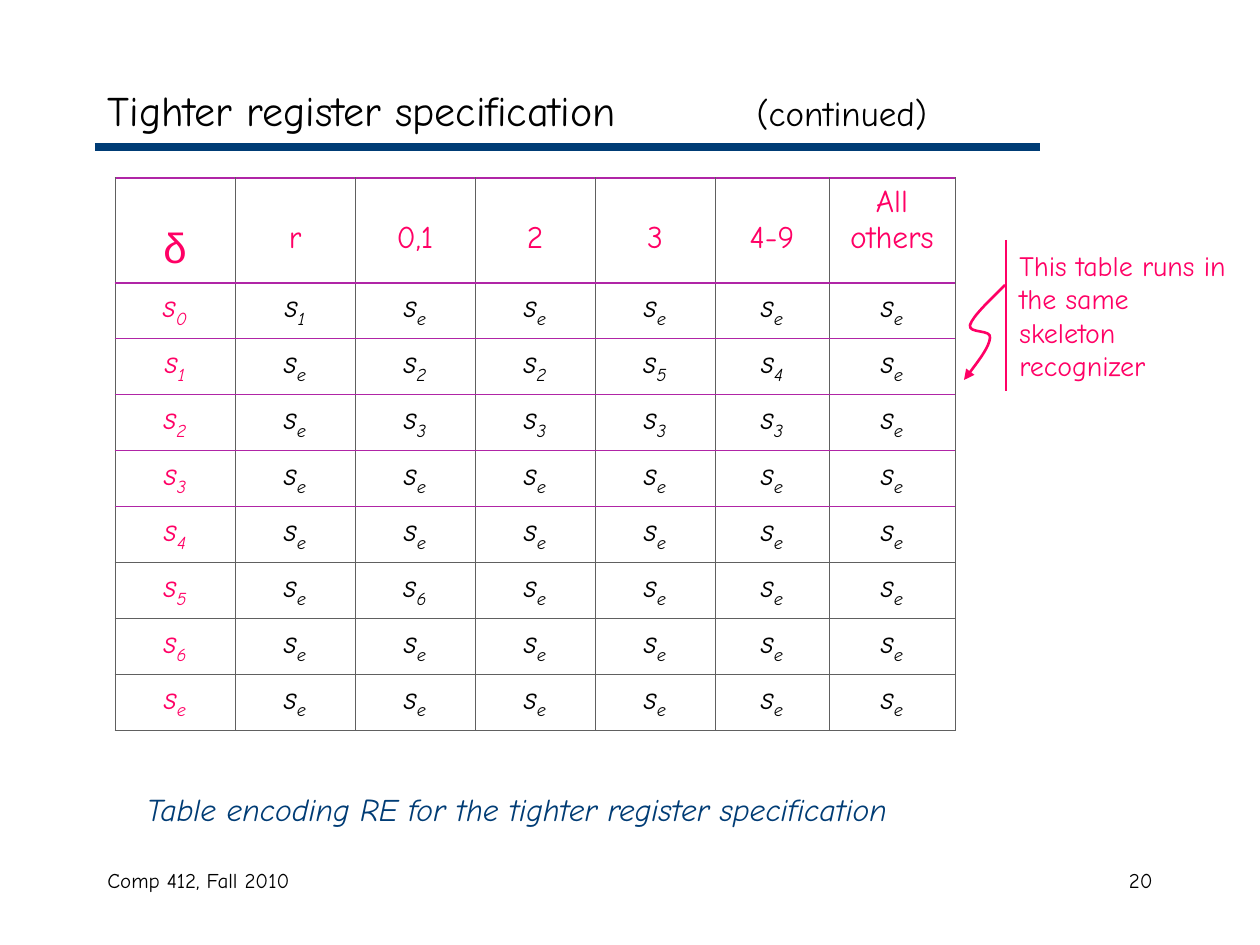
from lxml.etree import SubElement
from pptx import Presentation
from pptx.dml.color import RGBColor
from pptx.enum.shapes import MSO_CONNECTOR as Connector
from pptx.enum.text import MSO_ANCHOR as Anchor, MSO_AUTO_SIZE as AutoSize, PP_ALIGN as Align
from pptx.oxml.ns import qn
from pptx.util import Pt

SCALE = 914400 / 126
FONT = "Comic Neue"
BLACK, NAVY, PINK, PURPLE, GREY = "000000", "003C75", "FF0065", "B025A6", "606060"
COLUMN_WIDTHS = [120] * 5 + [114, 126]
HEADER_HEIGHT, ROW_HEIGHT = 104, 56
HEADERS = ["δ", "r", "0,1", "2", "3", "4-9", "All\nothers"]
TRANSITIONS = {
    "0": "1eeeee",
    "1": "e2254e",
    "2": "e3333e",
    "3": "eeeeee",
    "4": "eeeeee",
    "5": "e6eeee",
    "6": "eeeeee",
    "e": "eeeeee",
}
CURVE = [(1005, 285), (989, 301), (973, 316), (970, 325), (968, 334),
         (992, 329), (990, 338), (989, 347), (977, 363), (964, 380)]


def px(length):
    """Turn pixels into EMU."""
    return round(length * SCALE)


def color(value):
    """Turn a hex string into a colour."""
    return RGBColor.from_string(value)


def add_run(para, text, size, ink, italic=False, font=FONT, subscript=False):
    """Add one formatted run to a paragraph."""
    span = para.add_run()
    span.text = text
    span.font.name, span.font.size, span.font.italic = font, Pt(size), italic
    span.font.color.rgb = color(ink)
    if subscript:
        span._r.get_or_add_rPr().set("baseline", "-25000")


def add_text(page, left, top, width, height, text, size, ink, align=Align.LEFT, italic=False):
    """Add a wrapping text box with one paragraph."""
    box = page.shapes.add_textbox(px(left), px(top), px(width), px(height))
    box.text_frame.word_wrap = True
    para = box.text_frame.paragraphs[0]
    para.alignment = align
    add_run(para, text, size, ink, italic)


def add_line(page, start, end, ink, width):
    """Add a straight line without a shadow."""
    line = page.shapes.add_connector(Connector.STRAIGHT, *map(px, start + end))
    line.line.color.rgb = color(ink)
    line.line.width = Pt(width)
    SubElement(line._element.spPr, qn("a:effectLst"))


def add_curved_arrow(page, points, ink, width):
    """Add an open curve through Bezier points, with an arrowhead at its end."""
    builder = page.shapes.build_freeform(*points[0], scale=SCALE)
    builder.add_line_segments(points[1:], close=False)
    arrow = builder.convert_to_shape()
    arrow.shadow.inherit = False
    arrow.fill.background()
    arrow.line.color.rgb = color(ink)
    arrow.line.width = Pt(width)
    SubElement(arrow.line._get_or_add_ln(), qn("a:tailEnd"), type="triangle")
    outline = next(arrow._element.iter(qn("a:path")))
    segments = outline.findall(qn("a:lnTo"))
    for first in range(0, len(segments), 3):
        bezier = SubElement(outline, qn("a:cubicBezTo"))
        for segment in segments[first:first + 3]:
            bezier.append(segment[0])
            outline.remove(segment)


def set_borders(cell, top, bottom):
    """Draw the four cell borders, grey at the sides."""
    properties = cell._tc.get_or_add_tcPr()
    for side, ink in (("L", GREY), ("R", GREY), ("T", top), ("B", bottom)):
        width = Pt(1.08) if ink == PURPLE else Pt(0.5)
        border = SubElement(properties, qn(f"a:ln{side}"), w=str(width))
        SubElement(SubElement(border, qn("a:solidFill")), qn("a:srgbClr"), val=ink)


def fill_header(cell, text):
    """Write a column heading, with single lines set low in the cell."""
    symbol = text == "δ"
    lines = text.split("\n")
    cell.margin_top = px(48 if symbol else 6 if len(lines) > 1 else 42)
    for index, line in enumerate(lines):
        para = cell.text_frame.add_paragraph() if index else cell.text_frame.paragraphs[0]
        para.alignment = Align.CENTER
        add_run(para, line, 24 if symbol else 18, PINK, font="Arial" if symbol else FONT)


def fill_state(cell, state, ink):
    """Write a state name with its subscript."""
    para = cell.text_frame.paragraphs[0]
    para.alignment = Align.CENTER
    add_run(para, "s", 18, ink, italic=True)
    add_run(para, state, 18, ink, italic=True, subscript=True)


def add_transition_table(page, left, top):
    """Add the table of states and their transitions."""
    heights = [HEADER_HEIGHT] + [ROW_HEIGHT] * len(TRANSITIONS)
    table = page.shapes.add_table(len(heights), len(COLUMN_WIDTHS), px(left), px(top),
                                  px(sum(COLUMN_WIDTHS)), px(sum(heights))).table
    table.first_row = table.horz_banding = False
    for column, width in zip(table.columns, COLUMN_WIDTHS):
        column.width = px(width)
    for row, height in zip(table.rows, heights):
        row.height = px(height)
    states = [state + targets for state, targets in TRANSITIONS.items()]
    for i, entries in enumerate([HEADERS] + states):
        for j, entry in enumerate(entries):
            cell = table.cell(i, j)
            set_borders(cell, PURPLE if i < 7 - 1 else GREY, PURPLE if i < 5 else GREY)
            cell.fill.background()
            if i == 0:
                fill_header(cell, entry)
            else:
                fill_state(cell, entry, BLACK if j else PINK)


def set_title(page, text, suffix):
    """Place the title and its suffix, parted by a tab stop."""
    title = page.shapes.title
    title.left, title.top, title.width, title.height = map(px, (95, 73, 1071, 73))
    frame = title.text_frame
    frame.vertical_anchor, frame.auto_size = Anchor.MIDDLE, AutoSize.NONE
    para = frame.paragraphs[0]
    para.alignment = Align.LEFT
    stops = SubElement(para._p.get_or_add_pPr(), qn("a:tabLst"))
    SubElement(stops, qn("a:tab"), pos=str(px(649)), algn="l")
    add_run(para, text + "\t", 24, BLACK)
    add_run(para, suffix, 20, BLACK)


def main():
    """Build the slide and save it."""
    deck = Presentation()
    deck.slide_width, deck.slide_height = px(1260), px(945)
    page = deck.slides.add_slide(deck.slide_layouts[5])
    add_line(page, (95, 147), (1040, 147), NAVY, 4.5)
    add_text(page, 95, 861, 514, 63, "Comp 412, Fall 2010", 12, BLACK)
    add_text(page, 903, 861, 262, 63, "20", 12, BLACK, Align.RIGHT)
    set_title(page, "Tighter register specification", "(continued)")
    add_transition_table(page, 115, 178)
    add_text(page, 60, 784, 914, 50, "Table encoding RE for the tighter register specification",
             18, NAVY, Align.CENTER, italic=True)
    add_text(page, 1007, 242, 236, 147, "This table runs in the same skeleton recognizer", 16, PINK)
    add_line(page, (1006, 240), (1006, 391), PINK, 1.5)
    add_curved_arrow(page, CURVE, PINK, 1.5)
    deck.save("out.pptx")


if __name__ == "__main__":
    main()
